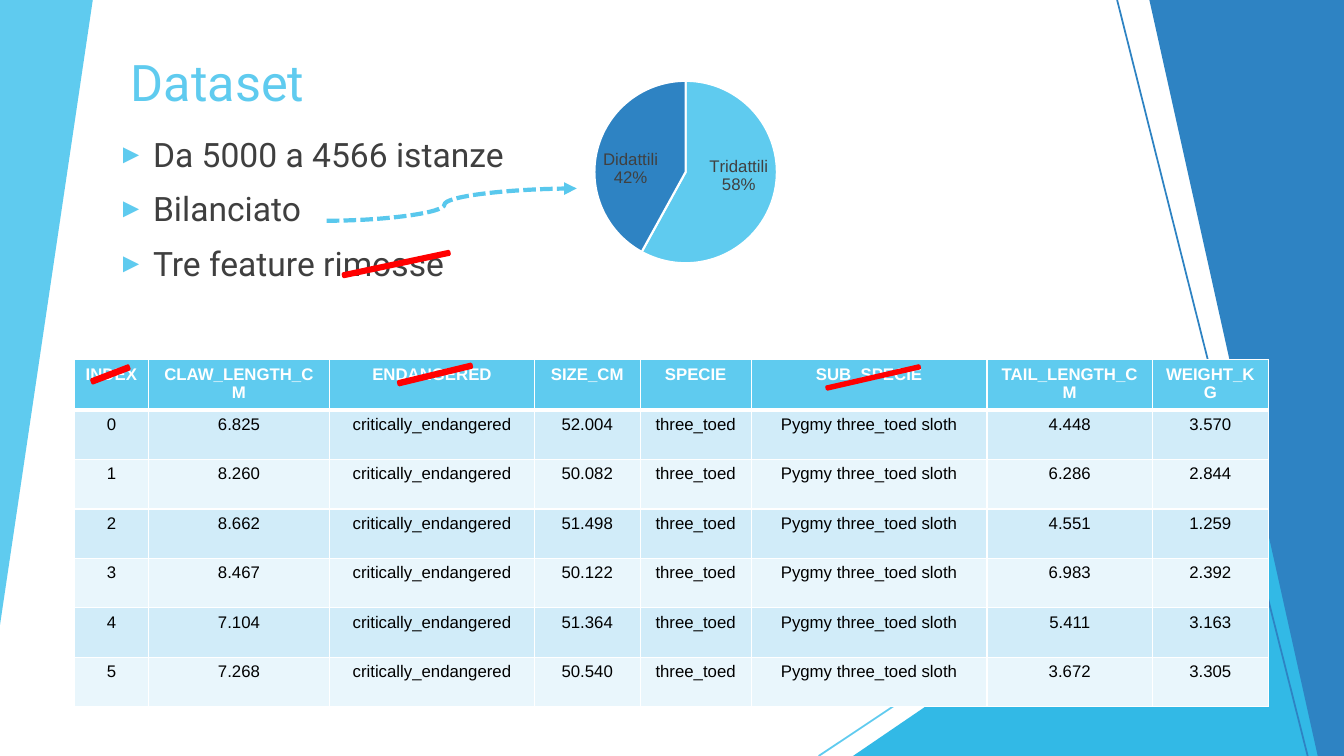
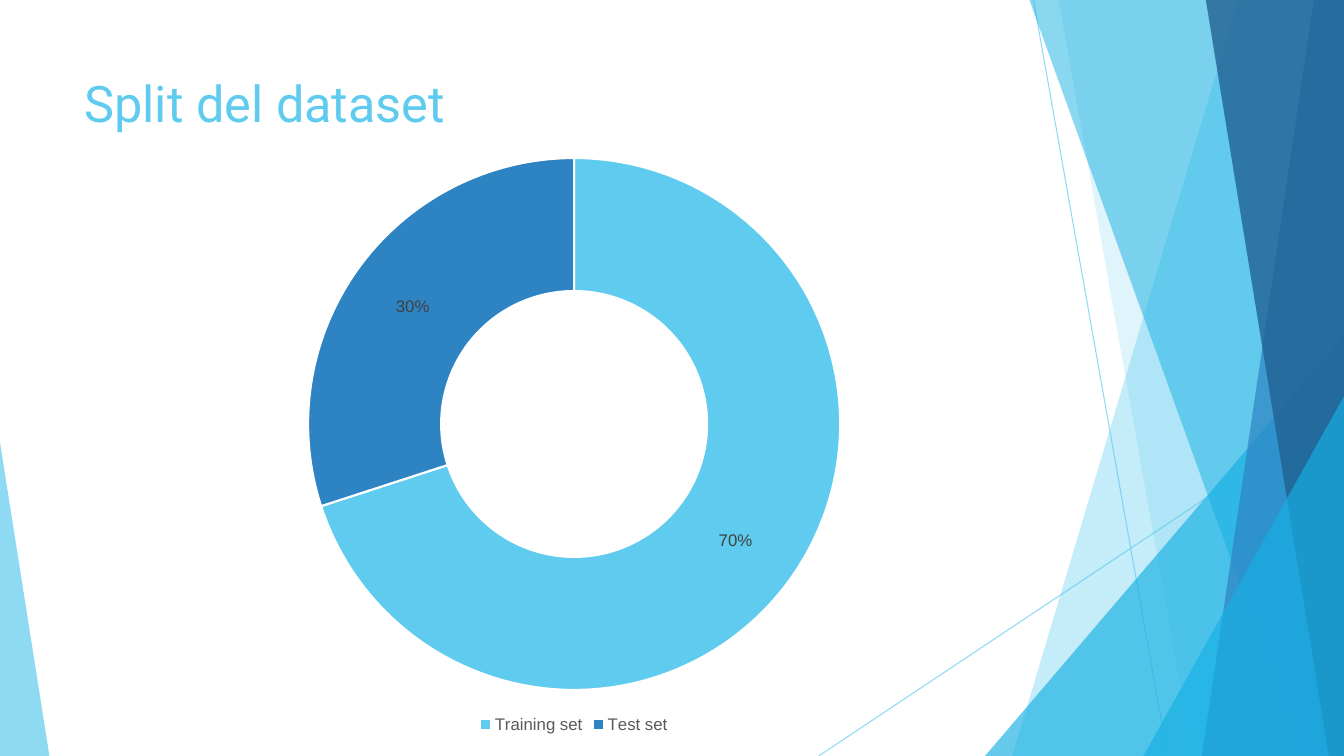
from dataclasses import dataclass

from lxml.etree import SubElement as Sub
from pptx import Presentation
from pptx.chart.data import CategoryChartData as Data
from pptx.dml.color import RGBColor as RGB
from pptx.enum.chart import XL_CHART_TYPE as Kind
from pptx.enum.chart import XL_LABEL_POSITION as Spot
from pptx.enum.chart import XL_LEGEND_POSITION as Side
from pptx.enum.dml import MSO_LINE as Dash
from pptx.enum.shapes import MSO_CONNECTOR as Link
from pptx.enum.shapes import MSO_SHAPE as Form
from pptx.enum.text import PP_ALIGN as Align
from pptx.oxml.ns import qn
from pptx.util import Inches as In
from pptx.util import Pt


@dataclass(frozen=True)
class Theme:
    sky: str = "5FCBEF"
    blue: str = "2E83C3"
    cyan: str = "16B0E3"
    navy: str = "226292"
    arrow: str = "59C8ED"
    white: str = "FFFFFF"
    black: str = "000000"
    red: str = "FF0000"
    body: str = "3F3F3F"
    label: str = "404040"
    key: str = "595959"
    odd: str = "D1ECF9"
    even: str = "E9F6FC"
    head_font: str = "Roboto"
    data_font: str = "Arial"
    title: int = 36
    text: int = 24
    small: int = 12


T = Theme()
WIDE, HIGH = 13.33, 7.5

# Content: slide 1
POINTS = ["Da 5000 a 4566 istanze", "Bilanciato", "Tre feature rimosse"]
COLS = [("INDEX", 0.73), ("CLAW_LENGTH_CM", 1.8), ("ENDANGERED", 2.03),
        ("SIZE_CM", 1.05), ("SPECIE", 1.1), ("SUB_SPECIE", 2.34),
        ("TAIL_LENGTH_CM", 1.64), ("WEIGHT_KG", 1.15)]
SLOTHS = [("6.825", "52.004", "4.448", "3.570"),
          ("8.260", "50.082", "6.286", "2.844"),
          ("8.662", "51.498", "4.551", "1.259"),
          ("8.467", "50.122", "6.983", "2.392"),
          ("7.104", "51.364", "5.411", "3.163"),
          ("7.268", "50.540", "3.672", "3.305")]
ROWS = [[name for name, _ in COLS]] + [
    [str(i), claw, "critically_endangered", size, "three_toed",
     "Pygmy three_toed sloth", tail, mass]
    for i, (claw, size, tail, mass) in enumerate(SLOTHS)]
# box, turn
STRIKES = [((1.07, 2.89, 0.05, 1.65), 69.1), ((3.2, 2.55, 1.46, 0.14), 348),
           ((3.81, 3.64, 1.01, 0.15), 346.4), ((8.02, 3.69, 1.28, 0.11), 347.1)]
TOES = dict(kind=Kind.PIE, box=(4.84, 0.64, 3.77, 2.32),
            area=(0.28, 0.07, 0.48, 0.78),
            shares=[("Tridattili", 58), ("Didattili", 42)])

# Content: slide 2
SPLIT = dict(kind=Kind.DOUGHNUT, box=(1.25, 1.39, 8.89, 5.93),
             area=(0.2, 0.03, 0.6, 0.89),
             shares=[("Training set", 70), ("Test set", 30)])

# Backdrops, back to front: form, geometry, colour, opacity
RAY = (WIDE, 4.03, 8.12, HIGH)
BOLD = [("tri", (0, 0, 0.92, 6.2, 1, 180), T.sky, 100),
        ("tri", (8.46, 4.18, 4.87, 3.32, 1, 0), T.cyan, 88),
        ("ray", (11.08, 0, 12.97, HIGH, 1.25), T.blue, 100),
        ("ray", (*RAY, 1.25), T.sky, 100),
        ("band", (11.4, 13.07), T.blue, 100)]
FACETS = [("ray", (10.25, 0, 11.58, HIGH, 0.75), T.sky, 70),
          ("ray", (*RAY, 0.75), T.sky, 70),
          ("band", (12.28, 10.04), T.sky, 36),
          ("band", (10.5, 11.83), T.sky, 20),
          ("tri", (9.77, 3.33, 3.56, 4.17, 1, 0), T.cyan, 66),
          ("band", (10.21, 12.91), T.cyan, 50),
          ("band", (13.03, 11.92), T.blue, 70),
          ("band", (11.96, 13.18), T.navy, 80),
          ("tri", (11.34, 3.93, 1.99, 3.57, 1, 0), T.cyan, 66),
          ("tri", (0, 4.39, 0.49, 3.11, 0, 0), T.sky, 70)]


# Format helpers
def put(obj, **vals):
    for name, val in vals.items():
        setattr(obj, name, val)


def ink(font, face, size, hue, bold=False):
    put(font, name=face, size=Pt(size), bold=bold)
    font.color.rgb = RGB.from_string(hue)


def paint(fill, hue):
    fill.solid()
    fill.fore_color.rgb = RGB.from_string(hue)


def fade(shape, opaque):
    if opaque < 100:
        for hue in shape.element.spPr.iter(qn("a:srgbClr")):
            Sub(hue, qn("a:alpha"), val=str(opaque * 1000))


def solid(shape, hue, edge=0):
    shape.shadow.inherit = False
    paint(shape.fill, hue)
    if edge:
        paint(shape.line.fill, hue)
        shape.line.width = Pt(edge)
    else:
        shape.line.fill.background()


# Backdrop forms
def ray(slide, geo, hue, kind=Link.STRAIGHT):
    *ends, width = geo
    line = slide.shapes.add_connector(kind, *map(In, ends))
    paint(line.line.fill, hue)
    line.line.width = Pt(width)
    Sub(line.element.spPr, qn("a:effectLst"))
    return line


def tri(slide, geo, hue):
    *box, peak, turn = geo
    shape = slide.shapes.add_shape(Form.ISOSCELES_TRIANGLE, *map(In, box))
    shape.adjustments[0] = peak
    shape.rotation = turn
    solid(shape, hue)
    return shape


def band(slide, geo, hue):
    top, foot = geo
    pen = slide.shapes.build_freeform(In(top), 0, scale=1.0)
    pen.add_line_segments([(In(x), In(y)) for x, y in
                           [(WIDE, 0), (WIDE, HIGH), (foot, HIGH)]])
    shape = pen.convert_to_shape()
    solid(shape, hue)
    return shape


DRAW = dict(ray=ray, tri=tri, band=band)


def start(deck, forms, title, left, top):
    slide = deck.slides.add_slide(deck.slide_layouts[6])
    for form, geo, hue, opaque in forms:
        fade(DRAW[form](slide, geo, hue), opaque)
    write(slide, (left, top, 9.4, 1.44), [title], T.title, T.sky)
    return slide


def write(slide, box, lines, size, hue):
    shape = slide.shapes.add_textbox(*map(In, box))
    frame = shape.text_frame
    frame.word_wrap = True
    frame.text = "\n".join(lines)
    for para in frame.paragraphs:
        ink(para.runs[0].font, T.head_font, size, hue)
    return shape


def bullets(shape):
    for para in shape.text_frame.paragraphs:
        para.space_before = Pt(10)
    for para in shape.element.iter(qn("a:p")):
        props = para.get_or_add_pPr()
        props.set("marL", str(In(0.5)))
        props.set("indent", str(-In(0.35)))
        Sub(Sub(props, qn("a:buClr")), qn("a:srgbClr"), val=T.sky)
        Sub(props, qn("a:buSzPct"), val="80000")
        Sub(props, qn("a:buFont"), typeface=T.data_font)
        Sub(props, qn("a:buChar"), char="►")


# Table
def rule(cell, side, width, spot):
    props = cell.get_or_add_tcPr()
    line = Sub(props, qn("a:ln" + side), w=str(Pt(width)))
    Sub(Sub(line, qn("a:solidFill")), qn("a:srgbClr"), val=T.white)
    props.insert(spot, line)


def grid(slide):
    frame = slide.shapes.add_table(
        len(ROWS), len(COLS), In(0.74), In(3.57),
        In(sum(w for _, w in COLS)), In(0.49 * len(ROWS)))
    table = frame.table
    for col, (_, width) in zip(table.columns, COLS):
        col.width = In(width)
    for r, row in enumerate(ROWS):
        table.rows[r].height = In(0.49 if r else 0.5)
        for c, text in enumerate(row):
            cell = table.cell(r, c)
            cell.text = text
            paint(cell.fill, (T.odd if r % 2 else T.even) if r else T.sky)
            para = cell.text_frame.paragraphs[0]
            para.alignment = Align.CENTER
            ink(para.runs[0].font, T.data_font, T.small,
                T.black if r else T.white, not r)
    for i, cell in enumerate(frame.element.iter(qn("a:tc"))):
        r = i // len(COLS)
        widths = dict(L=1, R=1, T=3 if r == 1 else 1, B=1 if r else 3)
        for spot, (side, width) in enumerate(widths.items()):
            rule(cell, side, width, spot)


# Charts
def chart(slide, kind, box, area, shares):
    ring = kind == Kind.DOUGHNUT
    data = Data()
    data.categories = [name for name, _ in shares]
    data.add_series("Series 1", [val for _, val in shares])
    obj = slide.shapes.add_chart(kind, *map(In, box), data).chart
    put(obj, has_title=False, has_legend=ring)
    ink(obj.font, T.data_font, 10, T.black)
    if ring:
        put(obj.legend, position=Side.BOTTOM, include_in_layout=False)
        ink(obj.legend.font, T.data_font, T.small, T.key)
    plot = obj.plots[0]
    plot.vary_by_categories = True
    series = plot.series[0]
    for i, hue in enumerate((T.sky, T.blue)):
        look = series.points[i].format
        paint(look.fill, hue)
        paint(look.line.fill, T.white)
        look.line.width = Pt(1.5)
    labels = series.data_labels
    put(labels, show_percentage=True, show_value=False,
        show_category_name=not ring, number_format="0%",
        number_format_is_linked=False)
    ink(labels.font, T.data_font, T.small, T.label)
    root = obj.element
    if ring:
        for hole in root.iter(qn("c:holeSize")):
            hole.set("val", "75")
    else:
        labels.position = Spot.INSIDE_END
        for mark in list(root.iter(qn("c:showBubbleSize"))):
            gap = Sub(mark.getparent(), qn("c:separator"))
            gap.text = "\n"
            mark.addnext(gap)
    place(next(root.iter(qn("c:plotArea"))), area)


def place(plot, area):
    for old in plot.findall(qn("c:layout")):
        plot.remove(old)
    layout = Sub(plot, qn("c:layout"))
    plot.insert(0, layout)
    spot = Sub(layout, qn("c:manualLayout"))
    vals = dict(layoutTarget="inner", xMode="edge", yMode="edge",
                **dict(zip("xywh", map(str, area))))
    for name, val in vals.items():
        Sub(spot, qn("c:" + name), val=val)


def main():
    deck = Presentation()
    put(deck, slide_width=In(WIDE), slide_height=In(HIGH))

    # Slide 1: dataset
    slide = start(deck, BOLD, "Dataset", 1.2, 0.46)
    grid(slide)
    bullets(write(slide, (0.92, 1.28, 7.93, 2.34), POINTS, T.text, T.body))
    chart(slide, **TOES)
    arrow = ray(slide, (3.24, 2.19, 5.72, 1.87, 3), T.arrow, Link.CURVE)
    arrow.line.dash_style = Dash.SQUARE_DOT
    Sub(arrow.element.spPr.find(qn("a:ln")), qn("a:tailEnd"), type="triangle")
    bend = next(arrow.element.iter(qn("a:avLst")))
    Sub(bend, qn("a:gd"), name="adj1", fmla="val 47100")
    for box, turn in STRIKES:
        strike = slide.shapes.add_shape(Form.MATH_MINUS, *map(In, box))
        strike.rotation = turn
        solid(strike, T.red, 2)

    # Slide 2: split
    slide = start(deck, FACETS, "Split del dataset", 0.74, 0.67)
    chart(slide, **SPLIT)
    deck.save("out.pptx")


if __name__ == "__main__":
    main()
